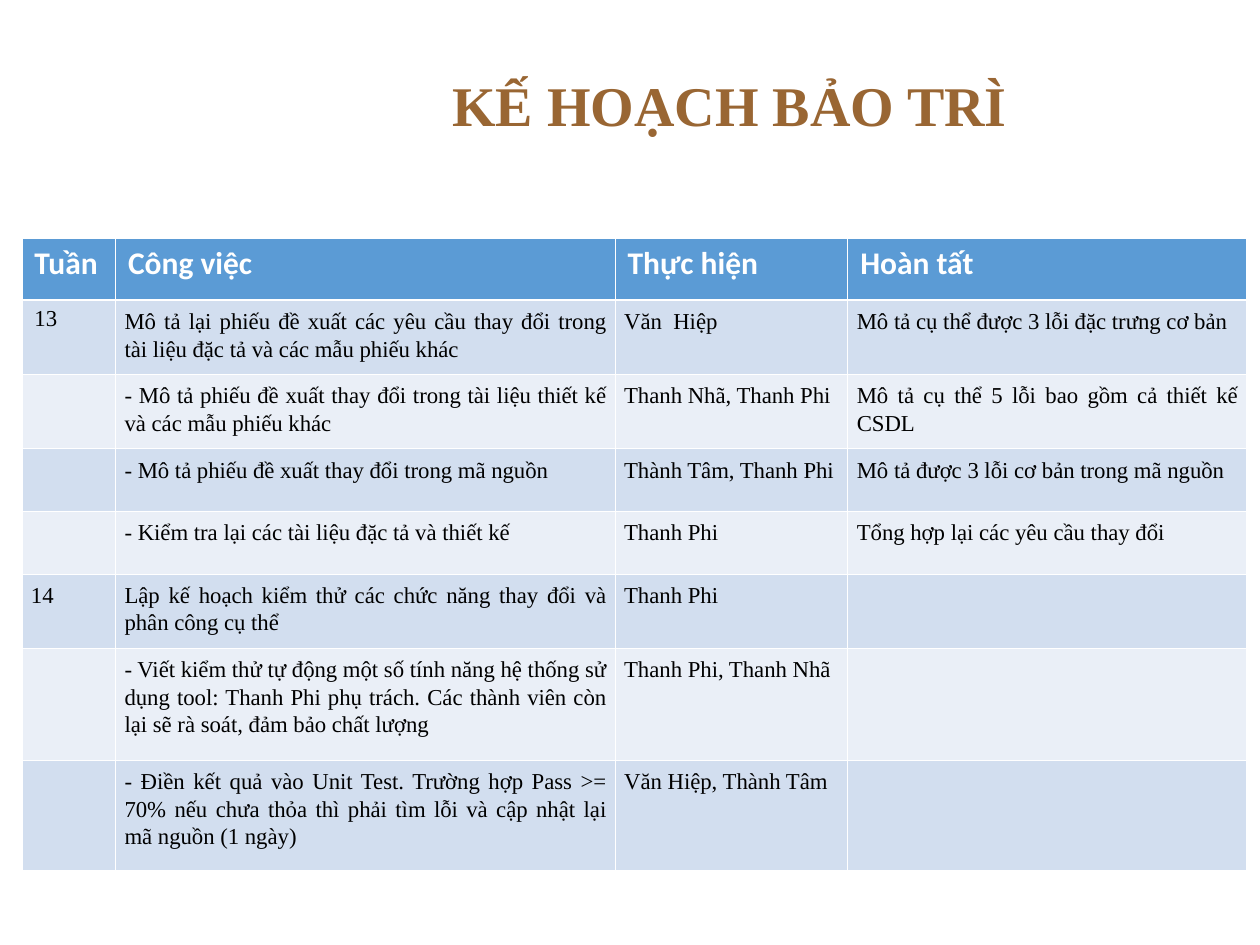
from lxml.etree import SubElement
from pptx import Presentation
from pptx.dml.color import RGBColor
from pptx.enum.text import MSO_ANCHOR, PP_ALIGN
from pptx.oxml.ns import qn
from pptx.util import Pt

# Content
TITLE = "KẾ HOẠCH BẢO TRÌ"
HEADERS = ["Tuần", "Công việc", "Thực hiện", "Hoàn tất"]
TASKS = [
    ("13", "Mô tả lại phiếu đề xuất các yêu cầu thay đổi trong tài liệu đặc tả và các mẫu phiếu khác",
     "Văn  Hiệp", "Mô tả cụ thể được 3 lỗi đặc trưng cơ bản"),
    ("", "- Mô tả phiếu đề xuất thay đổi trong tài liệu thiết kế và các mẫu phiếu khác",
     "Thanh Nhã, Thanh Phi", "Mô tả cụ thể 5 lỗi bao gồm cả thiết kế CSDL"),
    ("", "- Mô tả phiếu đề xuất thay đổi trong mã nguồn",
     "Thành Tâm, Thanh Phi", "Mô tả được 3 lỗi cơ bản trong mã nguồn"),
    ("", "- Kiểm tra lại các tài liệu đặc tả và thiết kế",
     "Thanh Phi", "Tổng hợp lại các yêu cầu thay đổi"),
    ("14", "Lập kế hoạch kiểm thử các chức năng thay đổi và phân công cụ thể",
     "Thanh Phi", ""),
    ("", "- Viết kiểm thử tự động một số tính năng hệ thống sử dụng tool: Thanh Phi phụ trách. "
     "Các thành viên còn lại sẽ rà soát, đảm bảo chất lượng", "Thanh Phi, Thanh Nhã", ""),
    ("", "- Điền kết quả vào Unit Test. Trường hợp Pass >= 70% nếu chưa thỏa thì phải tìm lỗi "
     "và cập nhật lại mã nguồn (1 ngày)", "Văn Hiệp, Thành Tâm", ""),
]
COLORS = {"title": "996633", "header": "5B9BD5", "odd": "D2DEEF", "even": "EAEFF7",
          "white": "FFFFFF", "black": "000000"}
SERIF, SANS = "Times New Roman", "Calibri"
COLUMN_WIDTHS = [53.5, 285.5, 133, 228]
ROW_HEIGHTS = [35.5, 42.5, 42.5, 35.5, 36, 42.5, 64, 63]
TABLE_LEFT, TABLE_TOP = 12.5, 136
THIN, THICK = 0.45, 1.47


def write_text(frame, text, size=13, font=SERIF, color="black", bold=False,
               align=PP_ALIGN.LEFT, line_spacing=None, after=None):
    para = frame.paragraphs[0]
    para.alignment = align
    if line_spacing:
        para.line_spacing = line_spacing
    if after:
        para.space_after = Pt(after)
    span = para.add_run()
    span.text = text
    span.font.size, span.font.name, span.font.bold = Pt(size), font, bold
    span.font.color.rgb = RGBColor.from_string(COLORS[color])


def style_cell(cell, fill, top=THIN, bottom=THIN):
    properties = cell._tc.get_or_add_tcPr()
    for side, width in (("L", THIN), ("R", THIN), ("T", top), ("B", bottom)):
        line = SubElement(properties, qn(f"a:ln{side}"), w=str(int(Pt(width))))
        SubElement(SubElement(line, qn("a:solidFill")), qn("a:srgbClr"), val=COLORS["white"])
    cell.fill.solid()
    cell.fill.fore_color.rgb = RGBColor.from_string(COLORS[fill])


deck = Presentation()
deck.slide_width, deck.slide_height = Pt(720), Pt(540)
page = deck.slides.add_slide(deck.slide_layouts[6])

# Title
box = page.shapes.add_textbox(Pt(138), Pt(22.5), Pt(558), Pt(74))
box.text_frame.word_wrap = True
box.text_frame.vertical_anchor = MSO_ANCHOR.MIDDLE
write_text(box.text_frame, TITLE, size=32, color="title", bold=True, align=PP_ALIGN.CENTER)

# Maintenance plan table
plan = page.shapes.add_table(
    len(ROW_HEIGHTS), len(COLUMN_WIDTHS), Pt(TABLE_LEFT), Pt(TABLE_TOP),
    Pt(sum(COLUMN_WIDTHS)), Pt(sum(ROW_HEIGHTS))).table
for column, width in zip(plan.columns, COLUMN_WIDTHS):
    column.width = Pt(width)
for row, height in zip(plan.rows, ROW_HEIGHTS):
    row.height = Pt(height)

# Header row
for index, label in enumerate(HEADERS):
    cell = plan.cell(0, index)
    style_cell(cell, "header", bottom=THICK)
    write_text(cell.text_frame, label, size=18, font=SANS, color="white", bold=True)

# Task rows
for number, task in enumerate(TASKS, start=1):
    for index, text in enumerate(task):
        cell = plan.cell(number, index)
        style_cell(cell, "odd" if number % 2 else "even", top=THICK if number == 1 else THIN)
        if not text:
            continue
        if (number, index) == (1, 0):
            write_text(cell.text_frame, text)
        else:
            cell.margin_left = cell.margin_right = Pt(5.2)
            write_text(cell.text_frame, text, align=PP_ALIGN.JUSTIFY, line_spacing=1.11, after=6)

deck.save("out.pptx")
